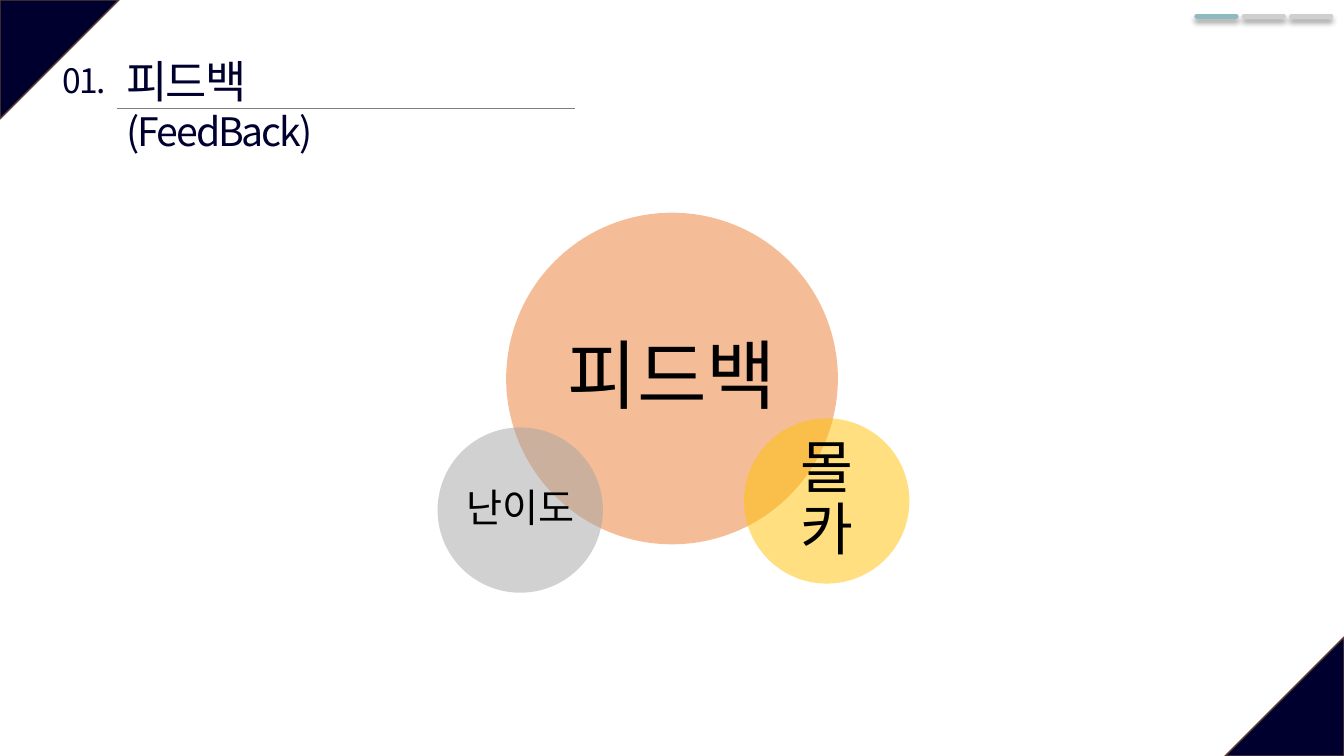
from dataclasses import dataclass

from lxml import etree
from pptx import Presentation
from pptx import util as u
from pptx.dml.color import RGBColor
from pptx.enum import shapes, text
from pptx.oxml.ns import qn

FONT = "Noto Sans CJK KR"
NAVY = "00002F"


@dataclass
class Corner:
    left: float
    top: float
    rotation: int


@dataclass
class Rule:
    left: float
    right: float
    y: float
    color: str
    width: float
    raised: bool = False


@dataclass
class Bubble:
    label: str
    left: float
    top: float
    diameter: float
    text_box: float
    inset: float
    size: int
    color: str


CORNERS = [Corner(0, 0, 90), Corner(12.15, 6.32, 270)]
TITLE_RULE = Rule(1.16, 5.7, 1.08, "808080", 0.5)
PAGE_MARKS = [
    Rule(11.87 + 0.47 * i, 12.26 + 0.47 * i, 0.16, color, 3.5, True)
    for i, color in enumerate(["8DBABD", "D0CECE", "D0CECE"])
]
BUBBLES = [
    Bubble("피드백", 5.02, 2.11, 3.29, 2.32, 0.07, 54, "ED7D31"),
    Bubble("난이도", 4.34, 4.24, 1.64, 1.16, 0.04, 28, "A5A5A5"),
    Bubble("몰카", 7.38, 4.15, 1.64, 1.16, 0.06, 41, "FFC000"),
]


def rgb(color: str) -> RGBColor:
    return RGBColor.from_string(color)


def set_all(target, values: dict) -> None:
    for name, value in values.items():
        setattr(target, name, value)


def sub(parent, tag: str, **attrs):
    return etree.SubElement(parent, qn(tag), {k: str(v) for k, v in attrs.items()})


def add_run(p, label: str, size: int, color: str, spacing: int = 0) -> None:
    r = p.add_run()
    r.text = label
    set_all(r.font, {"size": u.Pt(size), "name": FONT})
    r.font.color.rgb = rgb(color)
    rpr = r.font._element
    sub(rpr, "a:ea", typeface=FONT)
    if spacing:
        rpr.set("spc", str(spacing))


def add_box(container, left: float, top: float, width: float, height: float,
            **frame):
    sp = container.add_textbox(*map(u.Inches, (left, top, width, height)))
    set_all(sp.text_frame, frame)
    return sp.text_frame.paragraphs[0]


def add_corner(s, corner: Corner) -> None:
    sp = s.shapes.add_shape(
        shapes.MSO_SHAPE.ISOSCELES_TRIANGLE, u.Inches(corner.left),
        u.Inches(corner.top), u.Inches(1.18), u.Inches(1.18))
    sp.adjustments[0] = 0
    sp.rotation = corner.rotation
    sp.shadow.inherit = False
    sp.fill.solid()
    sp.fill.fore_color.rgb = rgb(NAVY)
    sp.line.color.rgb = rgb("5B3F33")
    sp.line.width = u.Pt(1)


def add_rule(s, rule: Rule) -> None:
    c = s.shapes.add_connector(
        shapes.MSO_CONNECTOR.STRAIGHT, u.Inches(rule.left), u.Inches(rule.y),
        u.Inches(rule.right), u.Inches(rule.y))
    c.line.color.rgb = rgb(rule.color)
    c.line.width = u.Pt(rule.width)
    sppr = c.element.spPr
    effects = sub(sppr, "a:effectLst")
    if rule.raised:
        sppr.find(qn("a:ln")).set("cap", "rnd")
        shadow = sub(effects, "a:outerShdw", blurRad=u.Pt(4), dist=u.Pt(3),
                     dir=90 * 60000, algn="t", rotWithShape=0)
        sub(sub(shadow, "a:srgbClr", val="000000"), "a:alpha", val=40000)


def add_bubble(container, b: Bubble) -> None:
    sp = container.add_shape(
        shapes.MSO_SHAPE.OVAL, u.Inches(b.left), u.Inches(b.top),
        u.Inches(b.diameter), u.Inches(b.diameter))
    sp.shadow.inherit = False
    sp.fill.solid()
    sp.fill.fore_color.rgb = rgb(b.color)
    sp.line.fill.background()
    fill = sp.element.spPr.find(qn("a:solidFill"))
    sub(fill[0], "a:alpha", val=50000)

    margin = (b.diameter - b.text_box) / 2
    sides = ("left", "top", "right", "bottom")
    p = add_box(container, b.left + margin, b.top + margin, b.text_box, b.text_box,
                word_wrap=True, vertical_anchor=text.MSO_ANCHOR.MIDDLE,
                **{f"margin_{side}": u.Inches(b.inset) for side in sides})
    set_all(p, {"alignment": text.PP_ALIGN.CENTER, "line_spacing": 0.9})
    sub(sub(p._p.get_or_add_pPr(), "a:spcAft"), "a:spcPct", val=35000)
    add_run(p, b.label, b.size, "000000")


def main() -> None:
    prs = Presentation()
    set_all(prs, {"slide_width": u.Inches(13.33), "slide_height": u.Inches(7.5)})
    s = prs.slides.add_slide(prs.slide_layouts[6])

    # Corner triangles
    for corner in CORNERS:
        add_corner(s, corner)

    # Heading
    add_rule(s, TITLE_RULE)
    p = add_box(s.shapes, 1.16, 0.48, 3.28, 0.64, word_wrap=True)
    add_run(p, "피드백", 32, NAVY, -150)
    p.add_line_break()
    add_run(p, "(FeedBack)", 28, NAVY, -150)
    p = add_box(s.shapes, 0.5, 0.55, 0.67, 0.5, word_wrap=False)
    p.alignment = text.PP_ALIGN.CENTER
    add_run(p, "01.", 24, NAVY, -150)

    # Page marks
    for mark in PAGE_MARKS:
        add_rule(s, mark)

    # Overlapping circles
    group = s.shapes.add_group_shape()
    for bubble in BUBBLES:
        add_bubble(group.shapes, bubble)

    prs.save("out.pptx")


if __name__ == "__main__":
    main()
